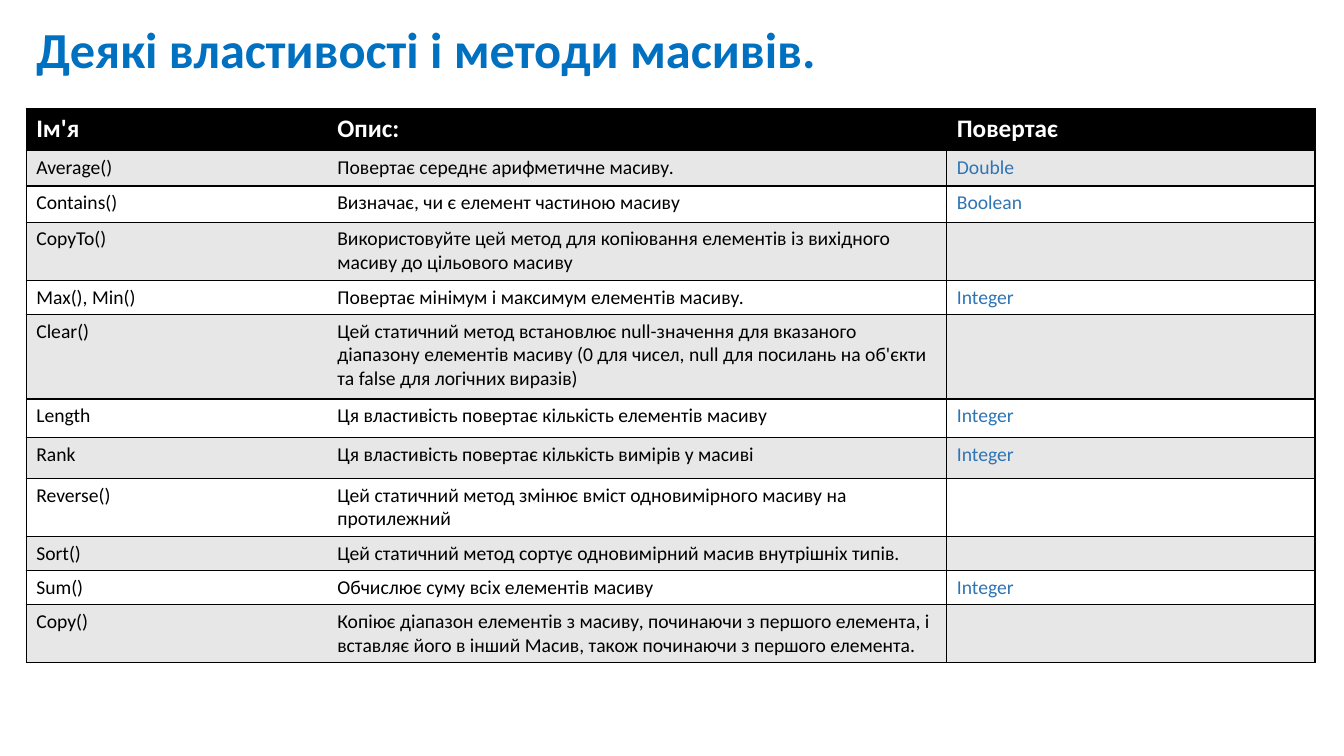
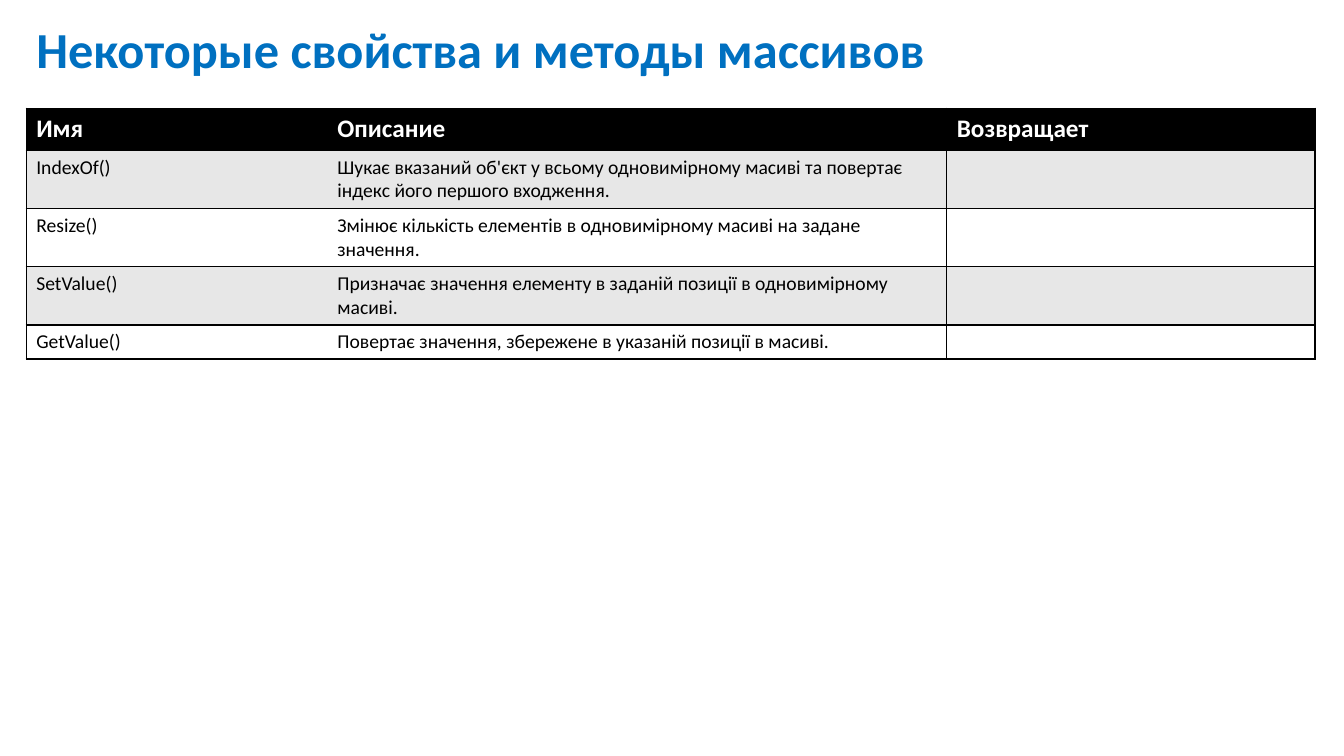
import lxml.etree
import pptx
import pptx.dml.color
import pptx.enum.text
import pptx.oxml.ns
import pptx.util

RGB = pptx.dml.color.RGBColor
TITLE_BLUE = RGB(0x00, 0x70, 0xC0)
TYPE_BLUE = RGB(0x2E, 0x75, 0xB6)
BLACK = RGB(0x00, 0x00, 0x00)
WHITE = RGB(0xFF, 0xFF, 0xFF)
BAND_GREY = RGB(0xE7, 0xE7, 0xE7)

FONT = "Calibri"
PLAIN_TABLE_STYLE = "{2D5ABB26-0587-4C30-8999-92F81FD0307C}"
LEFT = 1.95
COLUMN_WIDTHS = (22.4, 46.1, 27.4)
COLUMN_BORDERS = (("lnL", "lnT", "lnB"),
                  ("lnR", "lnT", "lnB"),
                  ("lnL", "lnR", "lnT", "lnB"))
HEADER_HEIGHT = 5.6
ONE_LINE, TWO_LINES, THREE_LINES = 4.5, 7.7, 11.2

# Each member: name, description, returned type, row height in percent
UKRAINIAN_MEMBERS = [
    ("Average()", "Повертає середнє арифметичне масиву.", "Double", 4.7),
    ("Contains()", "Визначає, чи є елемент частиною масиву", "Boolean", 4.8),
    ("CopyTo()", "Використовуйте цей метод для копіювання елементів із вихідного \v"
     "масиву до цільового масиву", "", TWO_LINES),
    ("Max(), Min()", "Повертає мінімум і максимум елементів масиву.", "Integer", ONE_LINE),
    ("Clear()", "Цей статичний метод встановлює null-значення для вказаного "
     "діапазону елементів масиву (0 для чисел, null для посилань на об'єкти "
     "та false для логічних виразів)", "", THREE_LINES),
    ("Length", "Ця властивість повертає кількість елементів масиву", "Integer", 5.1),
    ("Rank", "Ця властивість повертає кількість вимірів у масиві", "Integer", 5.4),
    ("Reverse()", "Цей статичний метод змінює вміст одновимірного масиву на "
     "протилежний", "", TWO_LINES),
    ("Sort()", "Цей статичний метод сортує одновимірний масив внутрішніх типів.",
     "", ONE_LINE),
    ("Sum()", "Обчислює суму всіх елементів масиву", "Integer", ONE_LINE),
    ("Copy()", "Копіює діапазон елементів з масиву, починаючи з першого елемента, і "
     "вставляє його в інший Масив, також починаючи з першого елемента.", "", TWO_LINES),
]
RUSSIAN_MEMBERS = [
    ("IndexOf()", "Шукає вказаний об'єкт у всьому одновимірному масиві та повертає "
     "індекс його першого входження.", "", TWO_LINES),
    ("Resize()", "Змінює кількість елементів в одновимірному масиві на задане "
     "значення.", "", TWO_LINES),
    ("SetValue()", "Призначає значення елементу в заданій позиції в одновимірному "
     "масиві.", "", TWO_LINES),
    ("GetValue()", "Повертає значення, збережене в указаній позиції в масиві.",
     "", ONE_LINE),
]


class Deck:
    """Shared style and current slide; lengths are percentages of the slide."""

    def __init__(self):
        self.prs = pptx.Presentation()
        self.prs.slide_width = pptx.util.Inches(13.33)
        self.prs.slide_height = pptx.util.Inches(7.5)
        self.slide = None

    def x(self, percent):
        return round(self.prs.slide_width * percent / 100)

    def y(self, percent):
        return round(self.prs.slide_height * percent / 100)

    def style(self, paragraph, size, color, bold):
        font = paragraph.font
        font.name, font.size, font.bold = FONT, pptx.util.Pt(size), bold
        font.color.rgb = color
        if not paragraph.runs:  # keeps an empty cell as low as its row
            lxml.etree.SubElement(paragraph._p, pptx.oxml.ns.qn("a:endParaRPr"),
                                  sz=str(size * 100))

    def add_slide(self, title):
        self.slide = self.prs.slides.add_slide(self.prs.slide_layouts[5])
        heading = self.slide.shapes.title
        heading.left, heading.top = self.x(LEFT), self.y(2.1)
        heading.width, heading.height = self.x(80.2), self.y(9.6)
        heading.text_frame.text = title
        heading.text_frame.vertical_anchor = pptx.enum.text.MSO_ANCHOR.MIDDLE
        paragraph = heading.text_frame.paragraphs[0]
        paragraph.alignment = pptx.enum.text.PP_ALIGN.LEFT
        paragraph.line_spacing = 0.9
        self.style(paragraph, 36, TITLE_BLUE, True)

    def add_borders(self, cell, sides):
        properties = cell._tc.get_or_add_tcPr()
        for position, side in enumerate(sides):
            line = lxml.etree.Element(pptx.oxml.ns.qn("a:" + side),
                                      w=str(pptx.util.Pt(1)))
            fill = lxml.etree.SubElement(line, pptx.oxml.ns.qn("a:solidFill"))
            lxml.etree.SubElement(fill, pptx.oxml.ns.qn("a:srgbClr"), val=str(BLACK))
            properties.insert(position, line)

    def fill_row(self, table, index, texts, background, size, colors, bold):
        for column, (text, color) in enumerate(zip(texts, colors)):
            cell = table.cell(index, column)
            cell.text = text
            cell.fill.solid()
            cell.fill.fore_color.rgb = background
            self.style(cell.text_frame.paragraphs[0], size, color, bold)
            self.add_borders(cell, COLUMN_BORDERS[column])

    def add_member_table(self, headings, members):
        heights = [HEADER_HEIGHT] + [member[3] for member in members]
        table = self.slide.shapes.add_table(
            len(heights), len(headings), self.x(LEFT), self.y(14.3),
            self.x(sum(COLUMN_WIDTHS)), self.y(sum(heights))).table
        table._tbl.tblPr.find(pptx.oxml.ns.qn("a:tableStyleId")).text = PLAIN_TABLE_STYLE
        for column, width in zip(table.columns, COLUMN_WIDTHS):
            column.width = self.x(width)
        for row, height in zip(table.rows, heights):
            row.height = self.y(height)
        self.fill_row(table, 0, headings, BLACK, 18, (WHITE,) * 3, True)
        for index, member in enumerate(members, start=1):
            background = BAND_GREY if index % 2 else WHITE
            self.fill_row(table, index, member[:3], background, 14,
                          (BLACK, BLACK, TYPE_BLUE), False)


def main():
    deck = Deck()
    deck.add_slide("Деякі властивості і методи масивів.")
    deck.add_member_table(("Ім'я", "Опис:", "Повертає"), UKRAINIAN_MEMBERS)
    deck.add_slide("Некоторые свойства и методы массивов")
    deck.add_member_table(("Имя", "Описание", "Возвращает"), RUSSIAN_MEMBERS)
    deck.prs.save("out.pptx")


if __name__ == "__main__":
    main()
